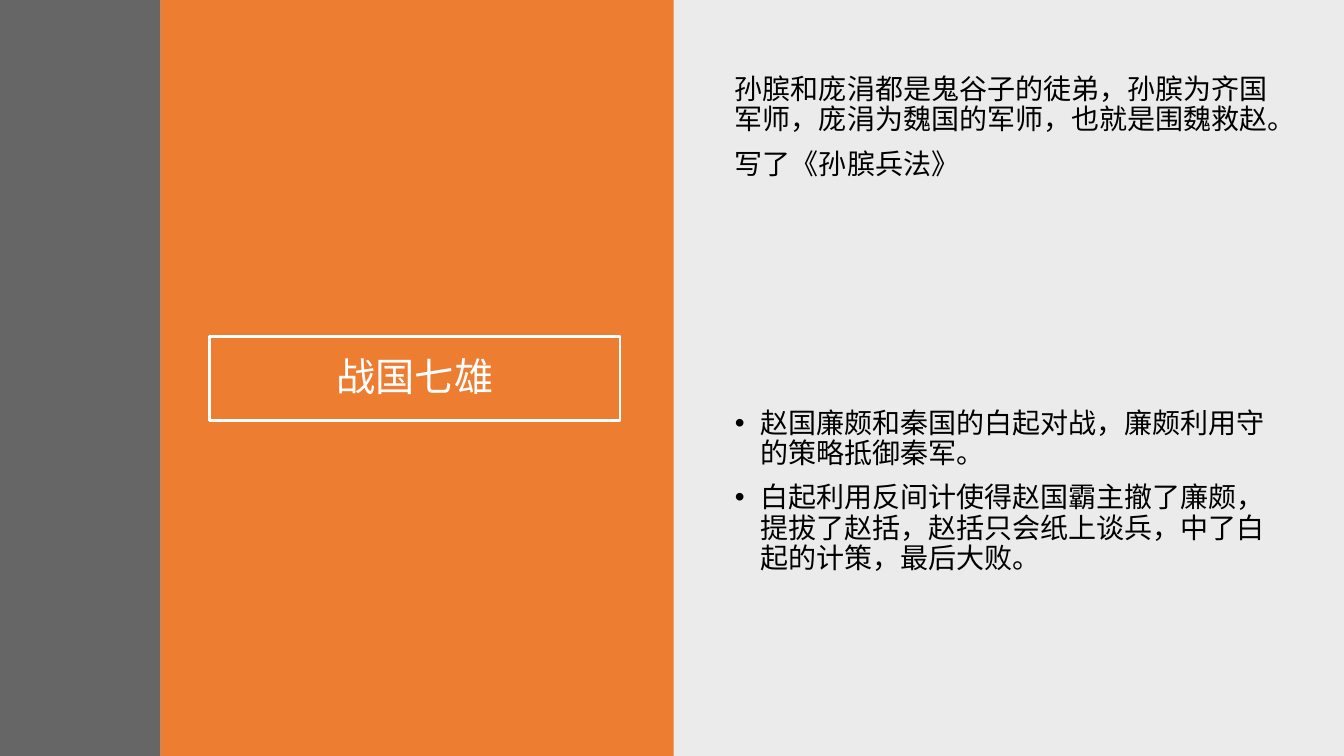
from lxml import etree
from pptx import Presentation
from pptx.dml.color import RGBColor
from pptx.enum.shapes import MSO_SHAPE
from pptx.enum.text import MSO_ANCHOR, PP_ALIGN
from pptx.oxml.ns import qn
from pptx.util import Inches, Pt

RECTANGLE = MSO_SHAPE.RECTANGLE
TOP, MIDDLE = MSO_ANCHOR.TOP, MSO_ANCHOR.MIDDLE
LEFT, CENTER = PP_ALIGN.LEFT, PP_ALIGN.CENTER
BLACK = RGBColor(0x00, 0x00, 0x00)
WHITE = RGBColor(0xFF, 0xFF, 0xFF)
ORANGE = RGBColor(0xED, 0x7D, 0x31)
CHARCOAL = RGBColor(0x40, 0x40, 0x40)
STRATEGISTS = [
    "孙膑和庞涓都是鬼谷子的徒弟，孙膑为齐国军师，庞涓为魏国的军师，也就是围魏救赵。",
    "写了《孙膑兵法》",
]
BATTLE = [
    "赵国廉颇和秦国的白起对战，廉颇利用守的策略抵御秦军。",
    "白起利用反间计使得赵国霸主撤了廉颇，提拔了赵括，赵括只会纸上谈兵，中了白起的计策，最后大败。",
]


class SlideBuilder:
    """Draws styled panels and text on one slide."""

    typeface = "Noto Sans CJK SC"

    def __init__(self, page):
        self.page = page

    def rectangle(self, left, top, width, height):
        shape = self.page.shapes.add_shape(
            RECTANGLE, Inches(left), Inches(top), Inches(width), Inches(height))
        shape.shadow.inherit = False
        return shape

    def panel(self, left, width, color, opacity=100):
        shape = self.rectangle(left, 0, width, 7.5)
        shape.fill.solid()
        shape.fill.fore_color.rgb = color
        shape.line.fill.background()
        if opacity < 100:
            tint = shape.fill._xPr.find(".//" + qn("a:srgbClr"))
            etree.SubElement(tint, qn("a:alpha"), val=str(opacity * 1000))

    def title(self, text, left, top, width, height):
        shape = self.rectangle(left, top, width, height)
        shape.fill.background()
        shape.line.color.rgb = WHITE
        shape.line.width = Pt(2)
        self.fill_text(shape.text_frame, [text], 28, WHITE, CENTER, MIDDLE)

    def body(self, texts, left, top, width, height, bulleted=False):
        box = self.page.shapes.add_textbox(
            Inches(left), Inches(top), Inches(width), Inches(height))
        self.fill_text(box.text_frame, texts, 20, BLACK, LEFT, TOP, bulleted)

    def fill_text(self, frame, texts, size, color, alignment, anchor, bulleted=False):
        frame.word_wrap = True
        frame.vertical_anchor = anchor
        for index, text in enumerate(texts):
            para = frame.add_paragraph() if index else frame.paragraphs[0]
            para.text = text
            para.alignment = alignment
            para.line_spacing = 0.9
            if index:
                para.space_before = Pt(10)
            if bulleted:
                self.bullet(para)
            para.font.name = self.typeface
            para.font.size = Pt(size)
            para.font.color.rgb = color
            defaults = para._p.pPr.find(qn("a:defRPr"))
            etree.SubElement(defaults, qn("a:ea"), typeface=self.typeface)

    def bullet(self, para):
        properties = para._p.get_or_add_pPr()
        properties.set("marL", str(Inches(0.25)))
        properties.set("indent", str(Inches(-0.25)))
        etree.SubElement(properties, qn("a:buFont"), typeface="Arial")
        etree.SubElement(properties, qn("a:buChar"), char="•")


def main():
    deck = Presentation()
    deck.slide_width, deck.slide_height = Inches(13.33), Inches(7.5)
    builder = SlideBuilder(deck.slides.add_slide(deck.slide_layouts[6]))
    builder.panel(6.67, 6.66, BLACK, opacity=8)
    builder.panel(1.59, 5.09, ORANGE)
    builder.title("战国七雄", 2.08, 3.34, 4.07, 0.83)
    builder.panel(0, 1.59, CHARCOAL, opacity=80)
    builder.body(STRATEGISTS, 7.19, 0.7, 5.53, 2.79)
    builder.body(BATTLE, 7.19, 4.01, 5.53, 2.79, bulleted=True)
    deck.save("out.pptx")


if __name__ == "__main__":
    main()
